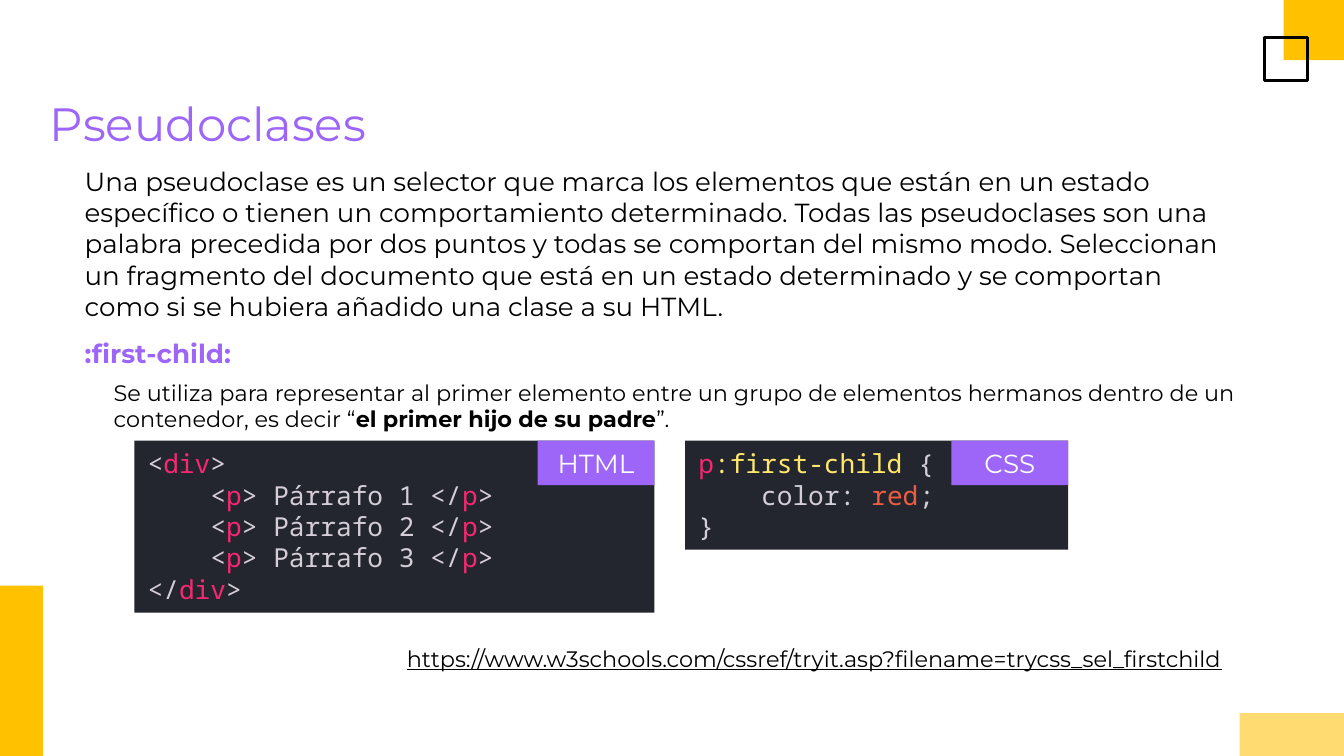
from pptx import Presentation
from pptx.dml.color import RGBColor
from pptx.enum import shapes, text
from pptx.util import Cm, Pt

COLORS = {
    "gold": "FFC100", "light_gold": "FFDB71", "black": "000000", "white": "FFFFFF",
    "purple": "9D66F9", "code_bg": "23262E", "plain": "D5CED9", "tag": "F92672",
    "selector": "FFE66D", "value": "EE5D43",
}
BODY_FONT, CODE_FONT = "Montserrat", "Noto Sans Mono"
WIDTH, HEIGHT = 25.4, 14.29

INTRO = (
    "Una pseudoclase es un selector que marca los elementos que están en un estado "
    "específico o tienen un comportamiento determinado. Todas las pseudoclases son una "
    "palabra precedida por dos puntos y todas se comportan del mismo modo. Seleccionan "
    "un fragmento del documento que está en un estado determinado y se comportan "
    "como si se hubiera añadido una clase a su HTML."
)
DEFINITION = (
    "Se utiliza para representar al primer elemento entre un grupo de elementos "
    "hermanos dentro de un contenedor, es decir “"
)
LINK = "https://www.w3schools.com/cssref/tryit.asp?filename=trycss_sel_firstchild"

HTML_CODE = [
    [("<", "plain"), ("div", "tag"), (">", "plain")],
    *[[("    <", "plain"), ("p", "tag"), (f"> Párrafo {n} </", "plain"),
       ("p", "tag"), (">", "plain")] for n in (1, 2, 3)],
    [("</", "plain"), ("div", "tag"), (">", "plain")],
]
CSS_CODE = [
    [("p", "tag"), (":first-child", "selector"), (" {", "plain")],
    [("    color: ", "plain"), ("red", "value"), (";", "plain")],
    [("}", "plain")],
]


def rgb(name):
    return RGBColor.from_string(COLORS[name])


def add_run(p, content, size, color, font=BODY_FONT):
    r = p.add_run()
    r.text = content
    r.font.size = Pt(size)
    r.font.name = font
    r.font.color.rgb = rgb(color)
    return r


def set_frame(tf, left=0.25, vertical=0.25, anchor=text.MSO_ANCHOR.TOP):
    tf.word_wrap = True
    tf.vertical_anchor = anchor
    tf.margin_left, tf.margin_right = Cm(left), Cm(0.25)
    tf.margin_top = tf.margin_bottom = Cm(vertical)


def add_rect(s, box, fill=None, line=None):
    sp = s.shapes.add_shape(shapes.MSO_SHAPE.RECTANGLE, *map(Cm, box))
    sp.shadow.inherit = False
    if fill:
        sp.fill.solid()
        sp.fill.fore_color.rgb = rgb(fill)
    else:
        sp.fill.background()
    if line:
        sp.line.color.rgb = rgb(line)
        sp.line.width = Pt(1.5)
    else:
        sp.line.fill.background()
    return sp


def add_text(s, box, content, size, color="black", left=0.25):
    """Add a one-paragraph text box and return the paragraph and its first run."""
    tf = s.shapes.add_textbox(*map(Cm, box)).text_frame
    set_frame(tf, left)
    p = tf.paragraphs[0]
    return p, add_run(p, content, size, color)


def add_decoration(s, box):
    x, y, w, h = box
    add_rect(s, (x + w - 1.14, y, 1.14, 1.14), "gold")
    add_rect(s, (x, y + h - 3.22, 0.81, 3.22), "gold")
    add_rect(s, (x + w - 1.5, y + 0.71, 0.81, 0.81), line="black")
    add_rect(s, (x + w - 1.97, y + h - 0.81, 1.97, 0.81), "light_gold")


def add_explanation(s, box):
    """Place title, introduction, pseudo-class name, definition and link."""
    x, y, w, h = box
    add_text(s, (x, y, w, 1.6), "Pseudoclases", 25, "purple")
    add_text(s, (x + 0.35, y + 1.32, 22.66, 3.61), INTRO, 14, left=0.56)
    _, r = add_text(s, (x + 0.35, y + 4.57, 22.66, 0.99), ":first-child:", 14,
                    "purple", left=0.56)
    r.font.bold = True
    p, _ = add_text(s, (x + 1.21, y + 5.36, w - 1.21, 1.42), DEFINITION, 12)
    add_run(p, "el primer hijo de su padre", 12, "black").font.bold = True
    add_run(p, "”.", 12, "black")
    _, r = add_text(s, (x + 6.75, y + h - 1.27, 16.74, 1.27), LINK, 12)
    r.font.underline = True


def add_code_panel(s, box, label, lines):
    """Place a dark code block with a language tag in its top right corner."""
    x, y, w, _ = box
    tf = add_rect(s, box, "code_bg").text_frame
    set_frame(tf, vertical=0.13)
    for i, line in enumerate(lines):
        p = tf.add_paragraph() if i else tf.paragraphs[0]
        p.alignment = text.PP_ALIGN.LEFT
        for content, color in line:
            add_run(p, content, 14, color, CODE_FONT)

    tag_w = 2.21
    tf = add_rect(s, (x + w - tag_w, y, tag_w, 0.84), "purple").text_frame
    set_frame(tf, anchor=text.MSO_ANCHOR.MIDDLE)
    p = tf.paragraphs[0]
    p.alignment = text.PP_ALIGN.CENTER
    add_run(p, label, 14, "white")


def main():
    prs = Presentation()
    prs.slide_width, prs.slide_height = Cm(WIDTH), Cm(HEIGHT)
    s = prs.slides.add_slide(prs.slide_layouts[6])
    add_decoration(s, (0, 0, WIDTH, HEIGHT))
    add_explanation(s, (0.69, 1.55, 24.05, 11.66))
    add_code_panel(s, (2.54, 8.33, 9.83, 3.25), "HTML", HTML_CODE)
    add_code_panel(s, (12.95, 8.33, 7.24, 2.06), "CSS", CSS_CODE)
    prs.save("out.pptx")


if __name__ == "__main__":
    main()
